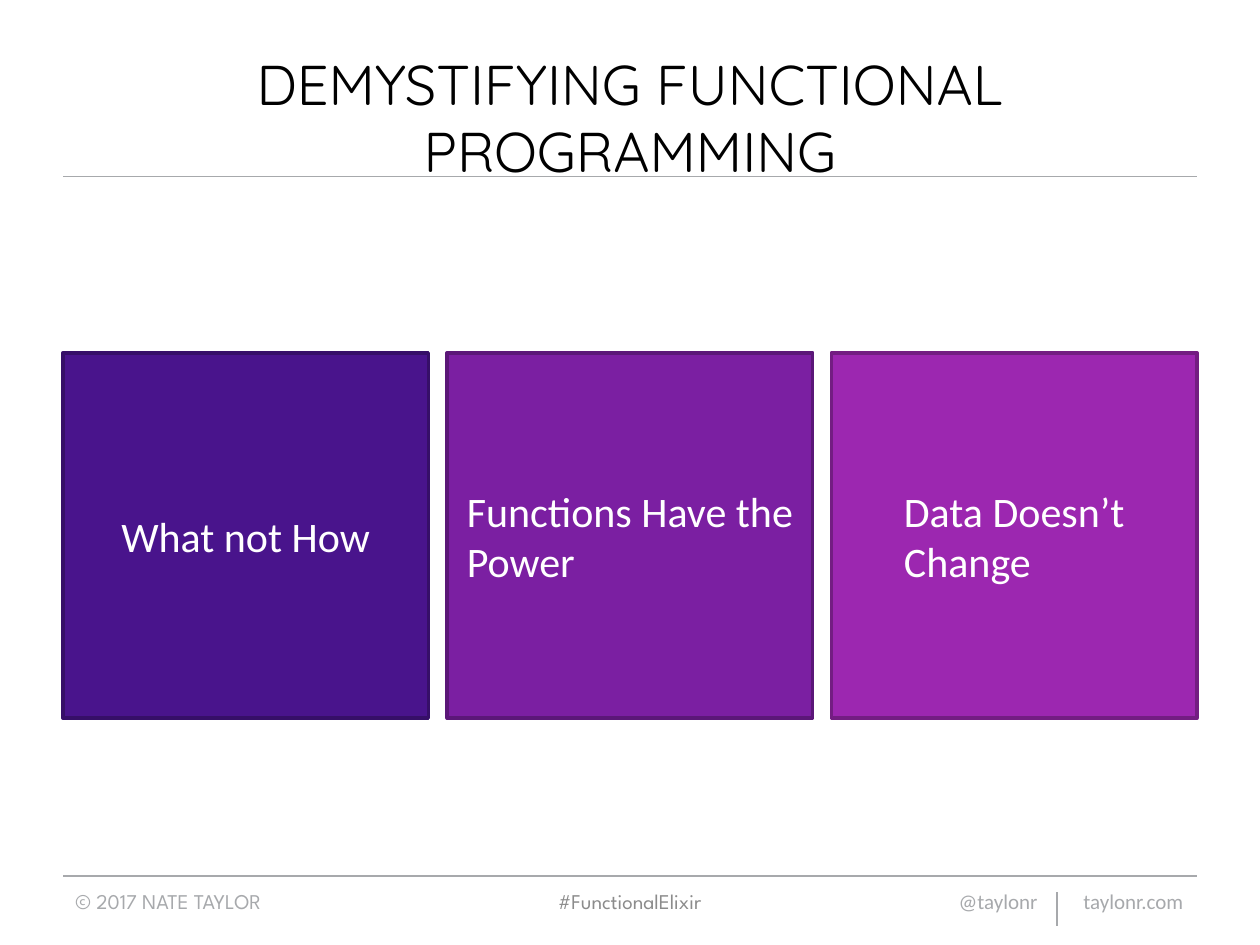
from lxml import etree
from pptx import Presentation
from pptx.dml.color import RGBColor
from pptx.enum import shapes, text
from pptx.oxml import ns
from pptx.util import Inches, Pt

COLORS = {
    "black": "000000", "white": "FFFFFF", "rule": "A7A9AC", "hashtag": "8C8C8C",
    "indigo": "49148C", "indigo_edge": "360F68",
    "purple": "7B1FA2", "purple_edge": "5B1778",
    "orchid": "9C27B0", "orchid_edge": "731D82",
}
LEFT, RIGHT = 0.5, 9.5
FOOTER_TOP, FOOTER_HEIGHT = 6.95, 0.4
CARD_TOP, CARD_SIZE, CARD_STEP = 2.8, 2.9, 3.05


def rgb(name):
    return RGBColor.from_string(COLORS[name])


class SlideBuilder:
    def __init__(self, prs):
        self.slide = prs.slides.add_slide(prs.slide_layouts[5])

    def set_text(self, sp, content, size, font, color, align=text.PP_ALIGN.LEFT):
        tf = sp.text_frame
        tf.text = content
        tf.word_wrap = True
        tf.auto_size = text.MSO_AUTO_SIZE.NONE
        tf.vertical_anchor = text.MSO_ANCHOR.MIDDLE
        p = tf.paragraphs[0]
        p.alignment = align
        for r in p.runs:
            r.font.size = Pt(size)
            r.font.name = font
            r.font.color.rgb = rgb(color)
        return p

    def title(self, content):
        sp = self.slide.shapes.title
        sp.left, sp.top = Inches(LEFT), Inches(0.3)
        sp.width, sp.height = Inches(RIGHT - LEFT), Inches(1.25)
        self.set_text(sp, content, 32, "Quicksand", "black", text.PP_ALIGN.CENTER)

    def line(self, x1, y1, x2, y2):
        cxn = self.slide.shapes.add_connector(
            shapes.MSO_CONNECTOR.STRAIGHT,
            Inches(x1), Inches(y1), Inches(x2), Inches(y2))
        cxn.line.color.rgb = rgb("rule")
        cxn.line.width = Pt(1)
        etree.SubElement(cxn._element.spPr, ns.qn("a:effectLst"))

    def card(self, left, content, color):
        sp = self.slide.shapes.add_shape(
            shapes.MSO_SHAPE.RECTANGLE, Inches(left), Inches(CARD_TOP),
            Inches(CARD_SIZE), Inches(CARD_SIZE))
        sp.shadow.inherit = False
        sp.fill.solid()
        sp.fill.fore_color.rgb = rgb(color)
        sp.line.color.rgb = rgb(color + "_edge")
        sp.line.width = Pt(2)
        self.set_text(sp, content, 24, "Calibri", "white")
        # Centre the left-aligned text block as a whole
        sp.text_frame._txBody.bodyPr.set("anchorCtr", "1")

    def footer(self, left, width, content, font, color="rule",
               align=text.PP_ALIGN.LEFT, tab=None):
        sp = self.slide.shapes.add_textbox(
            Inches(left), Inches(FOOTER_TOP), Inches(width), Inches(FOOTER_HEIGHT))
        p = self.set_text(sp, content, 12, font, color, align)
        if tab:
            tabs = etree.SubElement(p._p.get_or_add_pPr(), ns.qn("a:tabLst"))
            etree.SubElement(tabs, ns.qn("a:tab"), pos=str(Inches(tab)), algn="l")


def main():
    prs = Presentation()
    prs.slide_width, prs.slide_height = Inches(10), Inches(7.5)
    s = SlideBuilder(prs)

    for y in (1.4, FOOTER_TOP):
        s.line(LEFT, y, RIGHT, y)
    s.line(8.39, 7.08, 8.39, 7.35)
    s.title("DEMYSTIFYING FUNCTIONAL PROGRAMMING")

    cards = [("What not How", "indigo"),
             ("Functions Have the Power", "purple"),
             ("Data Doesn’t Change", "orchid")]
    for i, (content, color) in enumerate(cards):
        s.card(LEFT + i * CARD_STEP, content, color)

    s.footer(LEFT, 2.33, "© 2017 NATE TAYLOR", "League Spartan")
    s.footer(3.31, 3.38, "#FunctionalElixir", "League Spartan", "hashtag",
             text.PP_ALIGN.CENTER)
    s.footer(7.51, 1.99, "@taylonr\ttaylonr.com", "Calibri", tab=0.99)

    prs.save("out.pptx")


if __name__ == "__main__":
    main()
